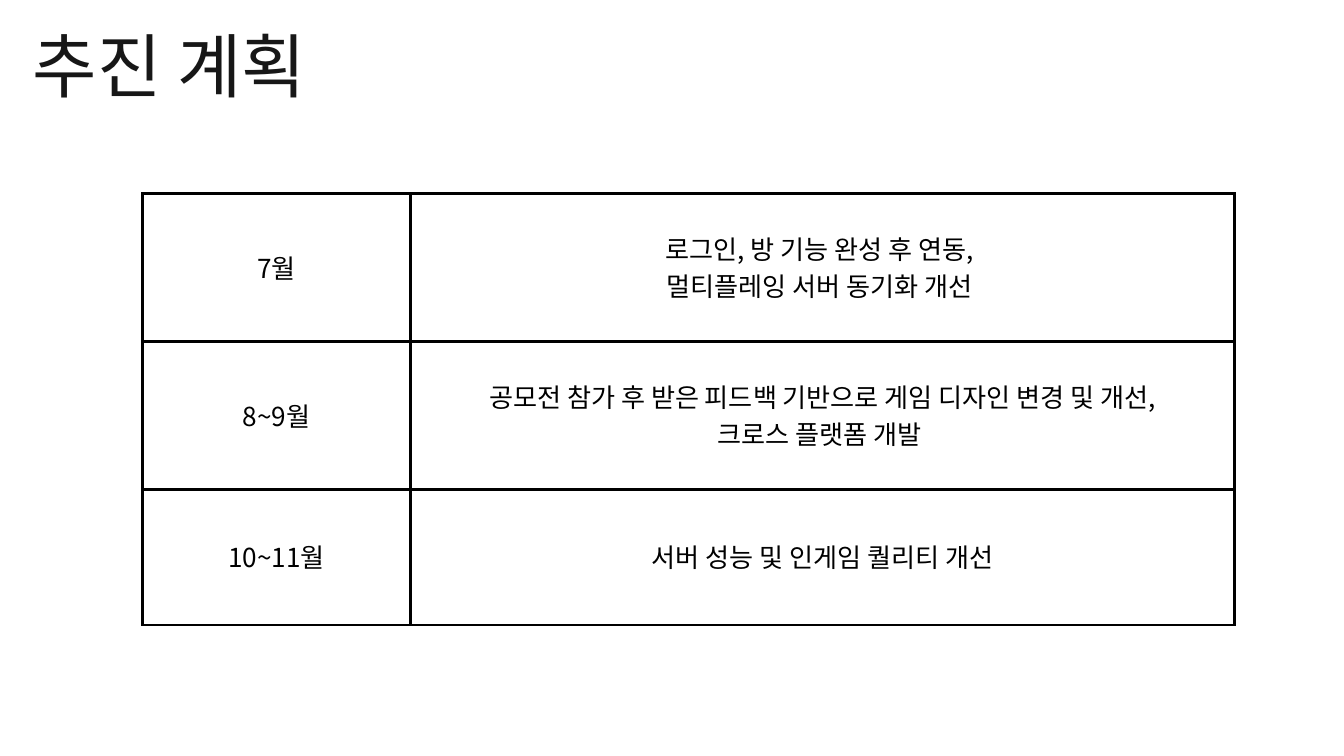
from pptx import Presentation
from pptx.dml.color import RGBColor
from pptx.enum.text import MSO_ANCHOR, MSO_AUTO_SIZE, PP_ALIGN
from pptx.oxml import parse_xml
from pptx.oxml.ns import nsdecls
from pptx.util import Pt

BLACK = RGBColor(0x00, 0x00, 0x00)
INK = RGBColor(0x17, 0x17, 0x17)
WHITE = RGBColor(0xFF, 0xFF, 0xFF)
NOTO = "Noto Sans CJK SC"
CALIBRI = "Calibri"

COL_WIDTHS = [287.3, 882.7]
ROW_HEIGHTS = [158.4, 158.4, 145.4]
PLAN = [
    ("7월", [("로그인, 방 기능 완성 후 연동, ", NOTO),
            ("멀티플레잉 서버 동기화 개선 ", CALIBRI)]),
    ("8~9월", [("공모전 참가 후 받은 피드백 기반으로 게임 디자인 변경 및 개선,", NOTO),
              ("크로스 플랫폼 개발 ", CALIBRI)]),
    ("10~11월", [("서버 성능 및 인게임 퀄리티 개선", CALIBRI)]),
]


def write(p, text, size, leading, font=NOTO, color=BLACK, align=None):
    p.alignment = align
    p.line_spacing = Pt(leading)
    r = p.add_run()
    r.text = text
    r.font.size = Pt(size)
    r.font.color.rgb = color
    r.font.name = font
    r.font._element.append(parse_xml(f'<a:ea {nsdecls("a")} typeface="{NOTO}"/>'))


def set_borders(cell, width):
    tcPr = cell._tc.get_or_add_tcPr()
    for i, side in enumerate("LRTB"):
        tcPr.insert(i, parse_xml(
            f'<a:ln{side} {nsdecls("a")} w="{Pt(width)}"><a:solidFill>'
            f'<a:srgbClr val="{BLACK}"/></a:solidFill></a:ln{side}>'))


def fill_cell(cell, lines):
    cell.fill.background()
    set_borders(cell, 3)
    cell.vertical_anchor = MSO_ANCHOR.MIDDLE
    cell.margin_left = cell.margin_right = Pt(15)
    cell.margin_top = cell.margin_bottom = Pt(15)
    tf = cell.text_frame
    for i, (text, font) in enumerate(lines):
        p = tf.add_paragraph() if i else tf.paragraphs[0]
        write(p, text, 28, 39.2, font, align=PP_ALIGN.CENTER)


def add_title(s, text, x, y, w, h):
    tf = s.shapes.add_textbox(Pt(x), Pt(y), Pt(w), Pt(h)).text_frame
    tf.word_wrap = True
    tf.auto_size = MSO_AUTO_SIZE.SHAPE_TO_FIT_TEXT
    tf.margin_left = tf.margin_right = tf.margin_top = tf.margin_bottom = 0
    write(tf.paragraphs[0], text, 75, 90, CALIBRI, INK)


def add_plan(s, x, y):
    table = s.shapes.add_table(
        len(PLAN), len(COL_WIDTHS), Pt(x), Pt(y),
        Pt(sum(COL_WIDTHS)), Pt(sum(ROW_HEIGHTS))).table
    table.first_row = table.horz_banding = False
    for col, w in zip(table.columns, COL_WIDTHS):
        col.width = Pt(w)
    for row, h, (month, tasks) in zip(table.rows, ROW_HEIGHTS, PLAN):
        row.height = Pt(h)
        fill_cell(row.cells[0], [(month, NOTO)])
        fill_cell(row.cells[1], tasks)


def main():
    prs = Presentation()
    prs.slide_width, prs.slide_height = Pt(1440), Pt(810)
    s = prs.slides.add_slide(prs.slide_layouts[6])
    s.background.fill.solid()
    s.background.fill.fore_color.rgb = WHITE
    add_plan(s, 152.6, 207.4)
    add_title(s, "추진 계획", 35.3, 23.8, 702.7, 90.7)
    prs.save("out.pptx")


if __name__ == "__main__":
    main()
